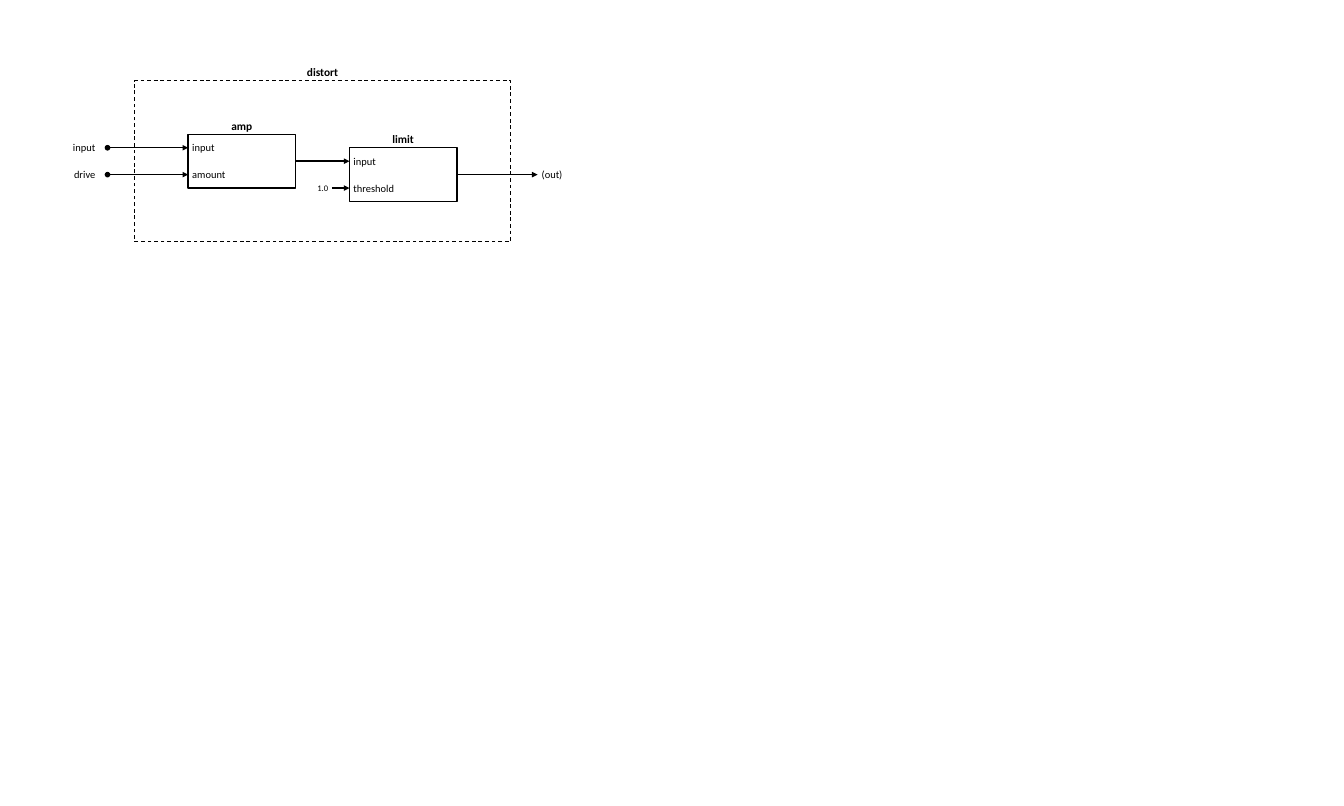
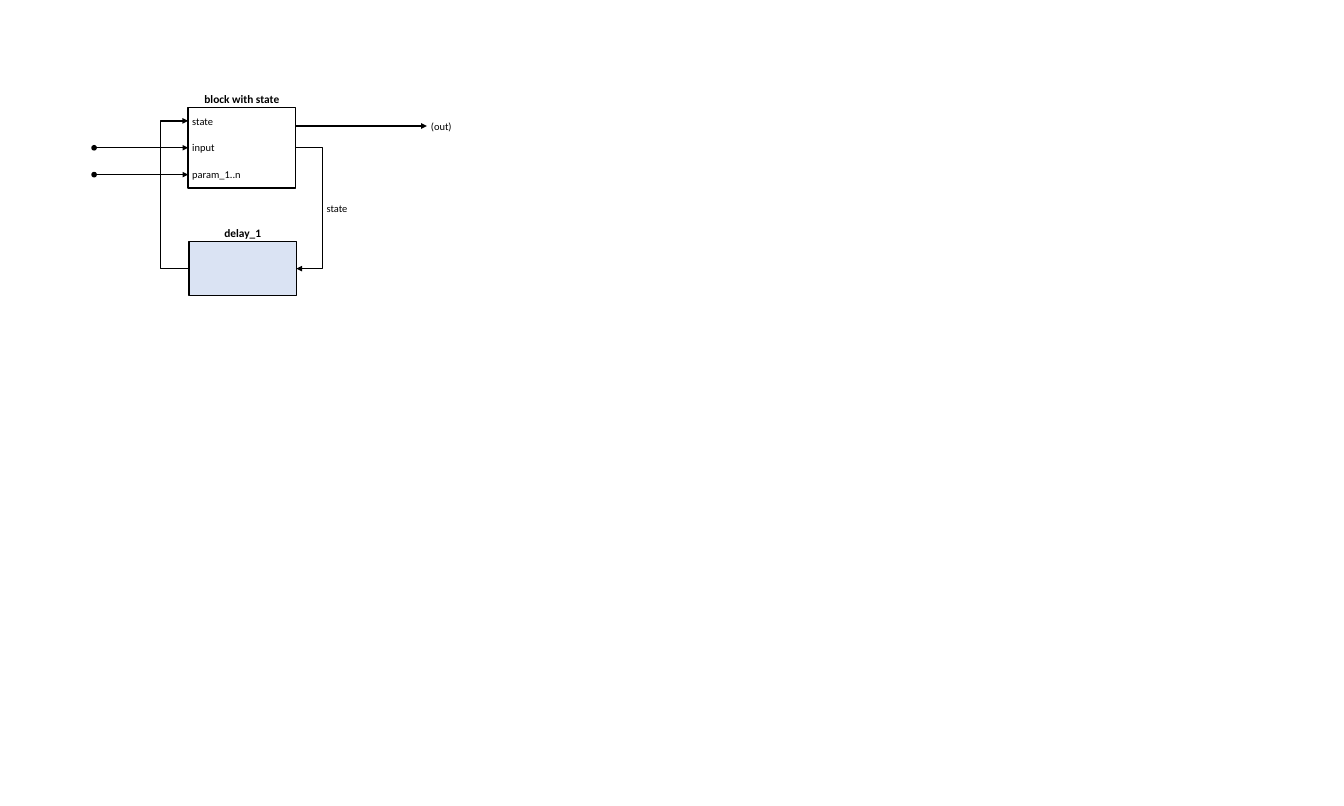
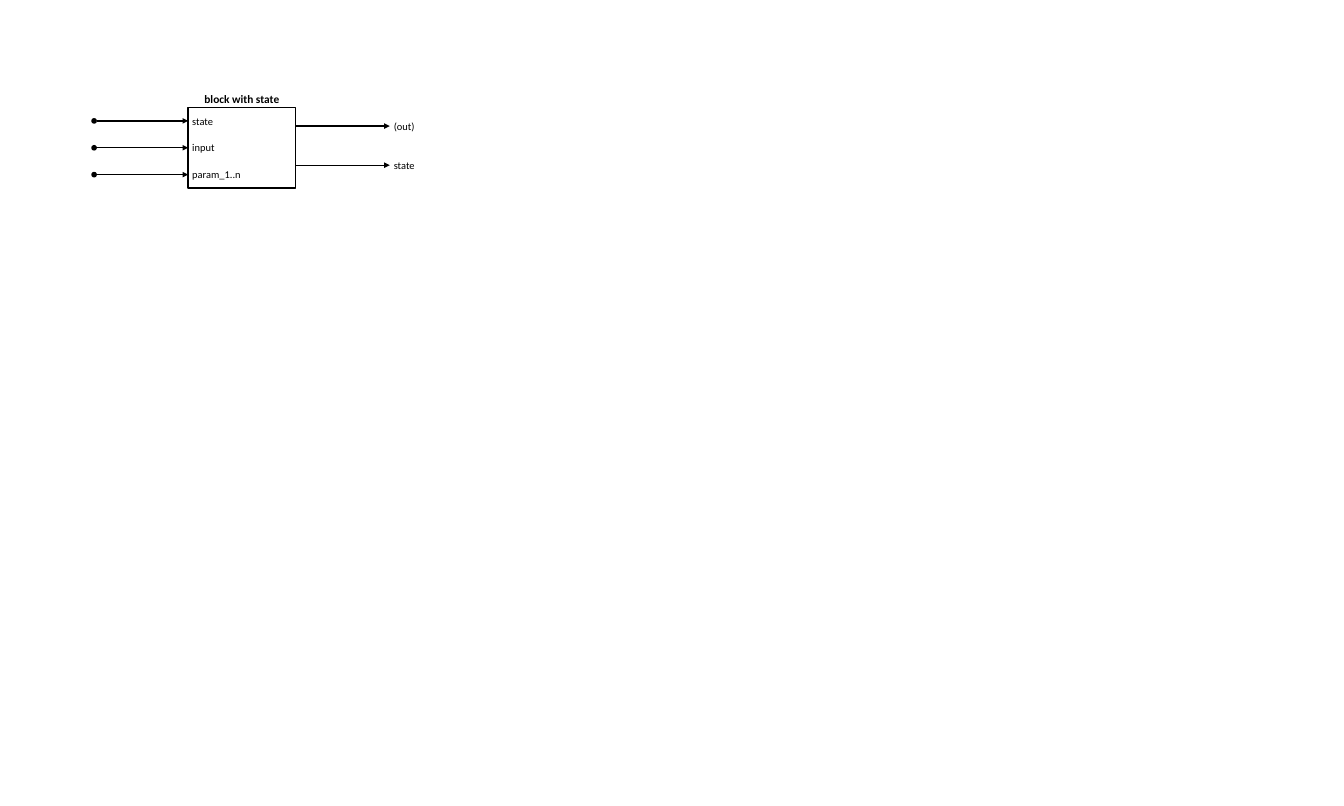
"""Build three block diagrams of signal processing blocks, laid out on a centimetre grid."""
import pptx
import pptx.util
import pptx.dml.color
import pptx.enum.dml
import pptx.enum.shapes
import pptx.enum.text
import pptx.oxml

Cm, Pt = pptx.util.Cm, pptx.util.Pt
ALIGN = pptx.enum.text.PP_ALIGN
FONT = "Calibri"
COLORS = {"ink": "000000", "paper": "FFFFFF", "delay": "DAE3F3"}
TEXT_WIDTHS = {
    "input": 1.14, "drive": 1.12, "1.0": 0.71, "(out)": 1.09, "state": 1.09,
    "amount": 1.55, "threshold": 1.83, "param_1..n": 2.13, "amp": 1.09,
    "limit": 1.12, "distort": 1.47, "delay_1": 1.73, "block with state": 3.12,
}
TEXT_HEIGHTS = {9: 0.58, 11: 0.66, 12: 0.71}
TITLE_RISE = 0.68

STATE_BLOCK = dict(title="block with state", box=(7, 4, 4, 3),
                   ports=["state", "input", "param_1..n"])
INPUT_WIRES = [dict(start=(3.5, y), end=(7, y), head="oval") for y in (5.5, 6.5)]

SLIDES = [
    dict(
        blocks=[
            dict(title="distort", box=(5, 3, 14, 6), fill=None, dashed=True),
            dict(title="amp", box=(7, 5, 4, 2), ports=["input", "amount"]),
            dict(title="limit", box=(13, 5.5, 4, 2), ports=["input", "threshold"]),
        ],
        labels=[
            dict(text="input", x=3.7, y=5.5, align=ALIGN.RIGHT),
            dict(text="drive", x=3.7, y=6.5, align=ALIGN.RIGHT),
            dict(text="1.0", x=12.36, y=7, align=ALIGN.RIGHT, size=9),
            dict(text="(out)", x=20, y=6.5),
        ],
        wires=[
            dict(start=(4, 5.5), end=(7, 5.5), head="oval"),
            dict(start=(4, 6.5), end=(7, 6.5), head="oval"),
            dict(start=(11, 6), end=(13, 6)),
            dict(start=(12.35, 7), end=(13, 7)),
            dict(start=(17, 6.5), end=(20, 6.5)),
        ],
    ),
    dict(
        blocks=[
            STATE_BLOCK,
            dict(title="delay_1", box=(7.03, 9, 4, 2), fill="delay"),
        ],
        labels=[dict(text="(out)", x=15.88, y=4.7), dict(text="state", x=12, y=7.75)],
        wires=INPUT_WIRES + [
            dict(start=(11, 4.69), end=(15.88, 4.69)),
            dict(start=(11, 5.5), end=(11.03, 10), via=12),
            dict(start=(7.03, 10), end=(7, 4.5), via=5.97),
        ],
    ),
    dict(
        blocks=[STATE_BLOCK],
        labels=[dict(text="(out)", x=14.5, y=4.7), dict(text="state", x=14.5, y=6.17)],
        wires=INPUT_WIRES + [
            dict(start=(3.5, 4.5), end=(7, 4.5), head="oval"),
            dict(start=(11, 4.69), end=(14.5, 4.69)),
            dict(start=(11, 6.15), end=(14.5, 6.15)),
        ],
    ),
]


def rgb(name):
    return pptx.dml.color.RGBColor.from_string(COLORS[name])


def paint(shape, fill):
    if fill:
        shape.fill.solid()
        shape.fill.fore_color.rgb = rgb(fill)
    else:
        shape.fill.background()


def add_text(shapes, text, x, y, align=ALIGN.LEFT, size=11, bold=False, fill=None):
    """Put text beside or around x according to its alignment, centred on y."""
    w, h = TEXT_WIDTHS[text], TEXT_HEIGHTS[size]
    left = x - w * {ALIGN.LEFT: 0, ALIGN.CENTER: 0.5, ALIGN.RIGHT: 1}[align]
    sp = shapes.add_textbox(Cm(left), Cm(y - h / 2), Cm(w), Cm(h))
    paint(sp, fill)
    tf = sp.text_frame
    tf.word_wrap = False
    tf.auto_size = pptx.enum.text.MSO_AUTO_SIZE.SHAPE_TO_FIT_TEXT
    tf.margin_left = tf.margin_right = Cm(0.15)
    tf.margin_top = tf.margin_bottom = Cm(0.1)
    p = tf.paragraphs[0]
    p.alignment = align
    r = p.add_run()
    r.text = text
    r.font.name, r.font.size, r.font.bold = FONT, Pt(size), bold
    r.font.color.rgb = rgb("ink")


def add_block(s, title, box, ports=(), fill="paper", dashed=False):
    x, y, w, h = box
    shapes = s.shapes if dashed else s.shapes.add_group_shape().shapes
    sp = shapes.add_shape(pptx.enum.shapes.MSO_SHAPE.RECTANGLE, *map(Cm, box))
    sp.shadow.inherit = False
    paint(sp, fill)
    sp.line.color.rgb = rgb("ink")
    sp.line.width = Pt(1 if dashed else 1.5)
    if dashed:
        sp.line.dash_style = pptx.enum.dml.MSO_LINE.DASH
    add_text(shapes, title, x + w / 2, y - TITLE_RISE + TEXT_HEIGHTS[12] / 2,
             align=ALIGN.CENTER, size=12, bold=True)
    for i, port in enumerate(ports):
        add_text(shapes, port, x, y + 0.5 + i)


def add_wire(s, start, end, head=None, via=None):
    """Draw an arrow, bent through the column at via if one is given."""
    kinds = pptx.enum.shapes.MSO_CONNECTOR
    kind = kinds.STRAIGHT if via is None else kinds.ELBOW
    cxn = s.shapes.add_connector(kind, *map(Cm, start + end))
    cxn.line.color.rgb = rgb("ink")
    cxn.line.width = Pt(1.5)
    ns = pptx.oxml.ns.nsdecls("a")
    ln = cxn.line._get_or_add_ln()
    for tag, end_type in (("headEnd", head), ("tailEnd", "triangle")):
        if end_type:
            ln.append(pptx.oxml.parse_xml(f'<a:{tag} {ns} type="{end_type}"/>'))
    sppr = cxn._element.spPr
    sppr.append(pptx.oxml.parse_xml(f"<a:effectLst {ns}/>"))
    if via is not None:
        adj = round((via - start[0]) / (end[0] - start[0]) * 100000)
        geom = sppr.find(pptx.oxml.ns.qn("a:prstGeom"))
        for child in list(geom):
            geom.remove(child)
        geom.append(pptx.oxml.parse_xml(
            f'<a:avLst {ns}><a:gd name="adj1" fmla="val {adj}"/></a:avLst>'))


prs = pptx.Presentation()
prs.slide_width, prs.slide_height = Cm(50), Cm(30)
for content in SLIDES:
    s = prs.slides.add_slide(prs.slide_layouts[6])
    for label in content["labels"]:
        add_text(s.shapes, fill="paper", **label)
    for block in content["blocks"]:
        add_block(s, **block)
    for wire in content["wires"]:
        add_wire(s, **wire)
prs.save("out.pptx")
